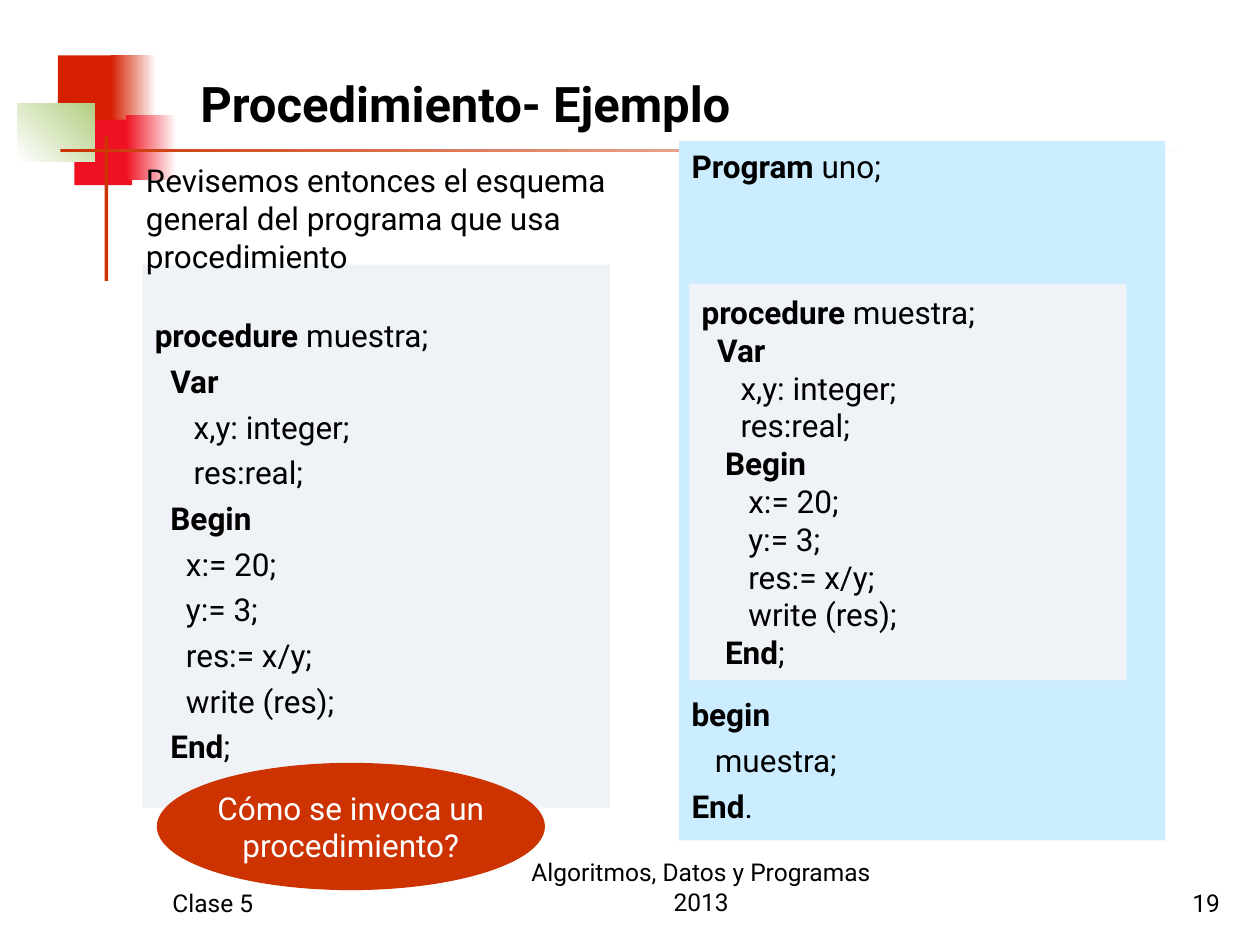
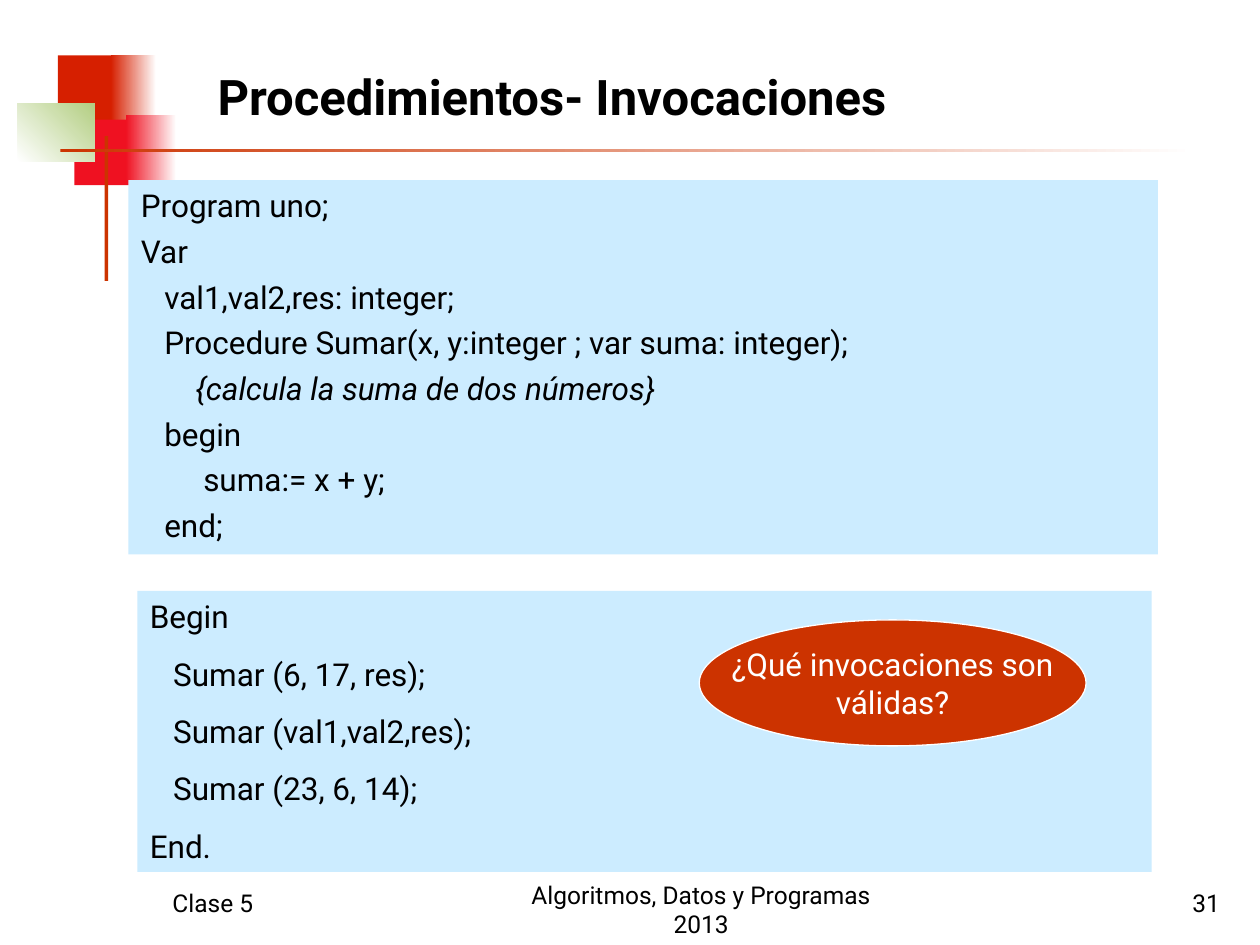
from pptx import Presentation
from pptx.dml.color import RGBColor
from pptx.enum.shapes import MSO_SHAPE
from pptx.enum.text import MSO_ANCHOR, PP_ALIGN
from pptx.util import Inches, Pt

RECTANGLE, ELLIPSE = MSO_SHAPE.RECTANGLE, MSO_SHAPE.OVAL
TOP, MIDDLE, BOTTOM = MSO_ANCHOR.TOP, MSO_ANCHOR.MIDDLE, MSO_ANCHOR.BOTTOM
LEFT, CENTER, RIGHT, JUSTIFY = PP_ALIGN.LEFT, PP_ALIGN.CENTER, PP_ALIGN.RIGHT, PP_ALIGN.JUSTIFY

COLORS = {
    "text": "000000", "white": "FFFFFF", "accent": "CC3300",
    "brick": "D61F00", "red": "EF1121", "green": "B3CE82",
    "program": "CCECFF", "procedure": "EFF3F7",
}
FONT = "Roboto"
TITLE_SIZE, BODY_SIZE, FOOTER_SIZE = 28, 18, 14
COLUMNS, ROWS = 100, 75
CODE_GAP, CALL_GAP = 4.5, 11.2

# Area in grid cells (left, top, width, height), start colour, end colour, angle
DECORATION = [
    ((4.6, 4.4, 4.8, 5.2), "brick", None, 0),
    ((8.8, 4.4, 3.6, 5.2), "brick", "white", 0),
    ((5.9, 9.5, 4.6, 5.2), "red", None, 0),
    ((10, 9.1, 4, 5.2), "red", "white", 0),
    ((1.4, 8.2, 6.1, 4.6), "white", "green", 45),
    ((8.3, 10.8, 0.3, 11.5), "accent", None, 0),
    ((4.8, 11.8, 90, 0.3), "accent", "white", 0),
]


def color(name):
    return RGBColor.from_string(COLORS[name])


class Deck:
    def __init__(self):
        self.presentation = Presentation()
        self.presentation.slide_width = Inches(10)
        self.presentation.slide_height = Inches(7.5)
        self.slide = None

    def place(self, area):
        """Turn grid cells (left, top, width, height) into lengths."""
        column = self.presentation.slide_width / COLUMNS
        row = self.presentation.slide_height / ROWS
        return [round(cells * unit) for cells, unit in zip(area, (column, row) * 2)]

    def start_slide(self, title, area, anchor, align):
        title_only = self.presentation.slide_layouts[5]
        self.slide = self.presentation.slides.add_slide(title_only)
        for decoration_area, start, end, angle in DECORATION:
            self.block(decoration_area, start, end, angle)
        placeholder = self.slide.shapes.title
        placeholder.left, placeholder.top, placeholder.width, placeholder.height = self.place(area)
        self.set_lines(placeholder, [f"*{title}*"], TITLE_SIZE, anchor=anchor, align=align)

    def block(self, area, fill, end=None, angle=0, preset=RECTANGLE):
        shape = self.slide.shapes.add_shape(preset, *self.place(area))
        shape.shadow.inherit = False
        shape.line.fill.background()
        if end:
            shape.fill.gradient()
            shape.fill.gradient_angle = angle
            for stop, name in zip(shape.fill.gradient_stops, (fill, end)):
                stop.color.rgb = color(name)
        else:
            shape.fill.solid()
            shape.fill.fore_color.rgb = color(fill)
        return shape

    def set_lines(self, shape, lines, size=BODY_SIZE, ink="text", anchor=TOP, align=LEFT,
                  gap=0, wrap=True):
        """Fill a shape with lines, where *words* are bold and _words_ italic."""
        frame = shape.text_frame
        frame.word_wrap = wrap
        frame.vertical_anchor = anchor
        frame.text = "\n".join(lines)
        for number, (paragraph, line) in enumerate(zip(frame.paragraphs, lines)):
            paragraph.alignment = align
            paragraph.space_before = Pt(gap if number else 0)
            marker = "*" if "*" in line else "_"
            paragraph.clear()
            for index, piece in enumerate(line.split(marker)):
                if not piece:
                    continue
                run = paragraph.add_run()
                run.text = piece
                run.font.name = FONT
                run.font.size = Pt(size)
                run.font.color.rgb = color(ink)
                marked = index % 2 == 1
                run.font.bold = marked and marker == "*"
                run.font.italic = marked and marker == "_"

    def text(self, area, line, **style):
        self.set_lines(self.slide.shapes.add_textbox(*self.place(area)), [line], **style)

    def code(self, area, fill, lines, **style):
        shape = self.block(area, fill)
        self.set_lines(shape, lines, **style)
        return shape

    def question(self, left, top, lines, outline):
        shape = self.block((left, top, 30.7, 10), "accent", preset=ELLIPSE)
        shape.line.color.rgb = color(outline)
        shape.line.width = Pt(0.75)
        self.set_lines(shape, lines, ink="white", anchor=MIDDLE, align=CENTER, wrap=False)

    def footer(self, number, course_top):
        for area, line, align in (
            ((12.7, 68.3, 20.8, 5), "Clase 5", LEFT),
            ((77, 68.3, 20.8, 5), str(number), RIGHT),
            ((39.8, course_top, 31.7, 5), "Algoritmos, Datos y Programas 2013", CENTER),
        ):
            self.text(area, line, size=FOOTER_SIZE, anchor=BOTTOM, align=align)


def procedure_lines(indent):
    """Code of the procedure, its begin-end block indented by some spaces."""
    outer, inner = " " * indent, " " * (2 * indent)
    statements = ["x:= 20;", "y:= 3;", "res:= x/y;", "write (res);"]
    return [
        "*procedure* muestra;", "  *Var*", "     x,y: integer;", "     res:real;",
        f"{outer}*Begin*", *(inner + statement for statement in statements), f"{outer}*End*;",
    ]


def add_example(deck):
    deck.start_slide("Procedimiento- Ejemplo", (14.9, 1.8, 74.2, 9.2), BOTTOM, LEFT)
    procedure = deck.code((11.3, 21, 37.1, 43.1), "procedure", procedure_lines(2), gap=CODE_GAP)
    procedure.text_frame.margin_top = Inches(0.41)
    deck.question(12.5, 60.6, ["Cómo se invoca un", "procedimiento?"], "accent")
    program = deck.code((53.9, 11.2, 38.6, 55.5), "program",
                        ["*Program* uno;", "*begin*", "   muestra;", "*End*."], gap=CODE_GAP)
    # Room for the nested procedure between the heading and the main block
    program.text_frame.paragraphs[1].space_before = Pt(291.5)
    deck.footer(19, 68.2)
    deck.code((54.7, 22.5, 34.7, 31.5), "procedure", procedure_lines(3), anchor=MIDDLE)
    deck.text((10.6, 12.3, 40.4, 10),
              "Revisemos entonces el esquema general del programa que usa procedimiento")


def add_calls(deck):
    deck.start_slide("Procedimientos- Invocaciones", (6.3, 3.9, 75, 7.4), MIDDLE, CENTER)
    deck.code((10.2, 14.3, 81.7, 29.7), "program", [
        "Program uno;",
        "Var",
        "   val1,val2,res: integer;",
        "   Procedure Sumar(x, y:integer ; var suma: integer);",
        "       _{calcula la suma de dos números}_",
        "   begin",
        "        suma:= x + y;",
        "   end;",
    ], align=JUSTIFY, gap=CODE_GAP)
    deck.code((10.9, 46.9, 80.5, 22.3), "program", [
        "Begin",
        "   Sumar (6, 17, res);",
        "   Sumar (val1,val2,res);",
        "   Sumar (23, 6, 14);",
        "End.",
    ], gap=CALL_GAP)
    deck.footer(31, 70)
    deck.question(55.5, 49.2, ["¿Qué invocaciones son", "válidas?"], "white")


def main():
    deck = Deck()
    add_example(deck)
    add_calls(deck)
    deck.presentation.save("out.pptx")


if __name__ == "__main__":
    main()
